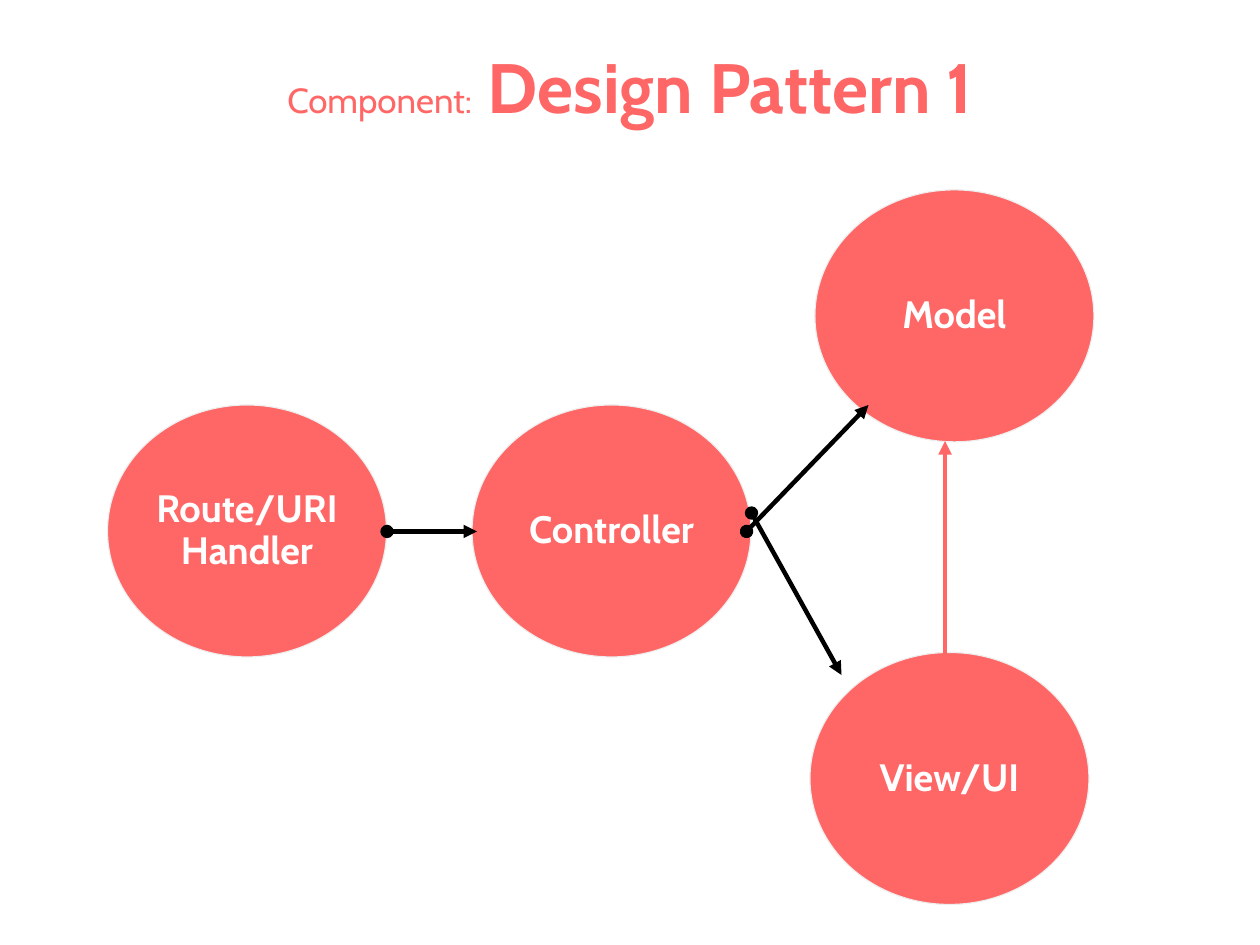
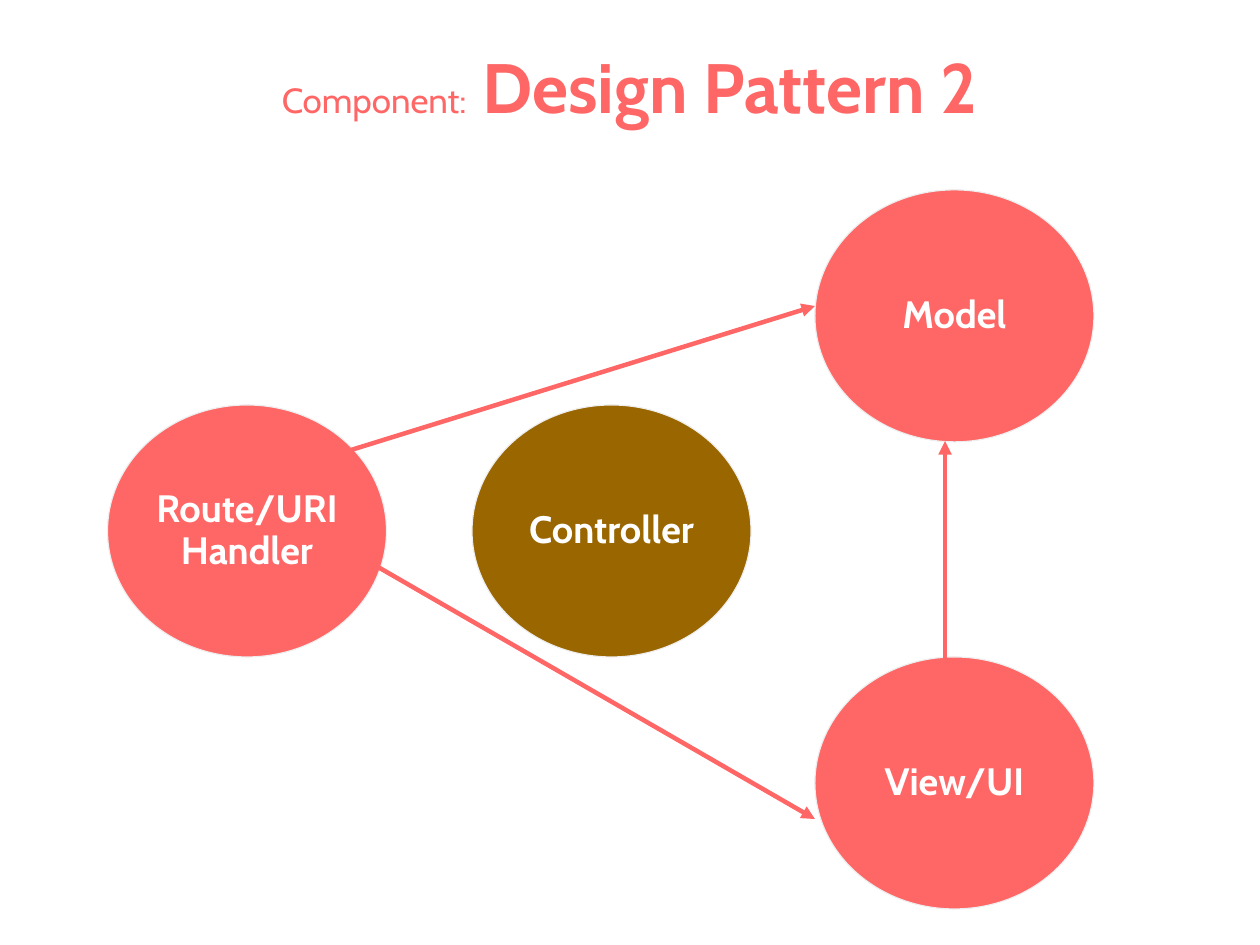
import pptx
import pptx.util
import pptx.dml.color
import pptx.enum.shapes
import pptx.enum.text
import pptx.oxml.ns
import lxml.etree

Cm, Pt = pptx.util.Cm, pptx.util.Pt
QN = pptx.oxml.ns.qn
MID = pptx.enum.text.PP_ALIGN.CENTER
ANCHOR = pptx.enum.text.MSO_ANCHOR

# Shared look
HUES = {"coral": "FF6666", "brown": "996600", "edge": "EEEEEE",
        "white": "FFFFFF", "black": "000000"}
FONTS = {
    "lead": {"name": "Cabin", "size": Pt(22), "bold": False},
    "head": {"name": "Cabin", "size": Pt(44), "bold": True},
    "node": {"name": "Cabin", "size": Pt(24), "bold": True},
}
TITLE = {"left": Cm(1.4), "top": Cm(1.1), "width": Cm(25.2), "height": Cm(2.5)}
FRAME = {"margin_left": 0, "margin_right": 0, "margin_top": Cm(0.03),
         "margin_bottom": 0, "vertical_anchor": ANCHOR.TOP, "word_wrap": True,
         "auto_size": pptx.enum.text.MSO_AUTO_SIZE.NONE}
PARA = {"alignment": MID, "line_spacing": 0.93, "space_before": Pt(0)}
WIDE, HIGH = 6.2, 5.6

# Nodes: text, left, top, fill; arrows: start, end, colour, start dot
ROUTE = (["Route/URI", "Handler"], 2.39, 9, "coral")
MODEL = (["Model"], 18.11, 4.22, "coral")
RISE = ((21, 14.81), (21, 9.8), "coral", False)
SLIDES = [
    ("1",
     [ROUTE, (["Controller"], 10.49, 9, "coral"),
      (["View/UI"], 18, 14.5, "coral"), MODEL],
     [((8.6, 11.81), (10.6, 11.81), "black", True),
      ((16.59, 11.81), (19.3, 9), "black", True),
      ((16.7, 11.4), (18.7, 15), "black", True), RISE]),
    ("2",
     [ROUTE, (["Controller"], 10.49, 9, "brown"),
      (["View/UI"], 18.11, 14.6, "coral"), MODEL],
     [RISE, ((8.4, 12.6), (18.11, 18.2), "coral", False),
      ((7.8, 10), (18.11, 6.8), "coral", False)]),
]


def tint(hue):
    return pptx.dml.color.RGBColor.from_string(HUES[hue])


def write(para, text, style, hue):
    for key, val in PARA.items():
        setattr(para, key, val)
    run = para.add_run()
    run.text = text
    for key, val in FONTS[style].items():
        setattr(run.font, key, val)
    run.font.color.rgb = tint(hue)


deck = pptx.Presentation()
deck.slide_width, deck.slide_height = Cm(28), Cm(21)

for num, nodes, links in SLIDES:
    slide = deck.slides.add_slide(deck.slide_layouts[5])

    # Title
    title = slide.shapes.title
    for key, val in TITLE.items():
        setattr(title, key, val)
    for key, val in FRAME.items():
        setattr(title.text_frame, key, val)
    para = title.text_frame.paragraphs[0]
    write(para, "Component:", "lead", "coral")
    write(para, f" Design Pattern {num}", "head", "coral")

    # Nodes
    for lines, left, top, hue in nodes:
        node = slide.shapes.add_shape(
            pptx.enum.shapes.MSO_SHAPE.OVAL,
            Cm(left), Cm(top), Cm(WIDE), Cm(HIGH))
        node.shadow.inherit = False
        node.fill.solid()
        node.fill.fore_color.rgb = tint(hue)
        node.line.color.rgb = tint("edge")
        node.line.width = Pt(0.75)
        frame = node.text_frame
        frame.word_wrap = False
        frame.vertical_anchor = ANCHOR.MIDDLE
        for i, text in enumerate(lines):
            para = frame.add_paragraph() if i else frame.paragraphs[0]
            write(para, text, "node", "white")

    # Arrows
    for start, end, hue, dot in links:
        link = slide.shapes.add_connector(
            pptx.enum.shapes.MSO_CONNECTOR.STRAIGHT,
            *(Cm(n) for n in start + end))
        link.line.color.rgb = tint(hue)
        link.line.width = Cm(0.1)
        ln = link.line._get_or_add_ln()
        if dot:
            lxml.etree.SubElement(ln, QN("a:headEnd"), type="oval")
        lxml.etree.SubElement(ln, QN("a:tailEnd"), type="triangle")
        lxml.etree.SubElement(link._element.spPr, QN("a:effectLst"))

deck.save("out.pptx")
